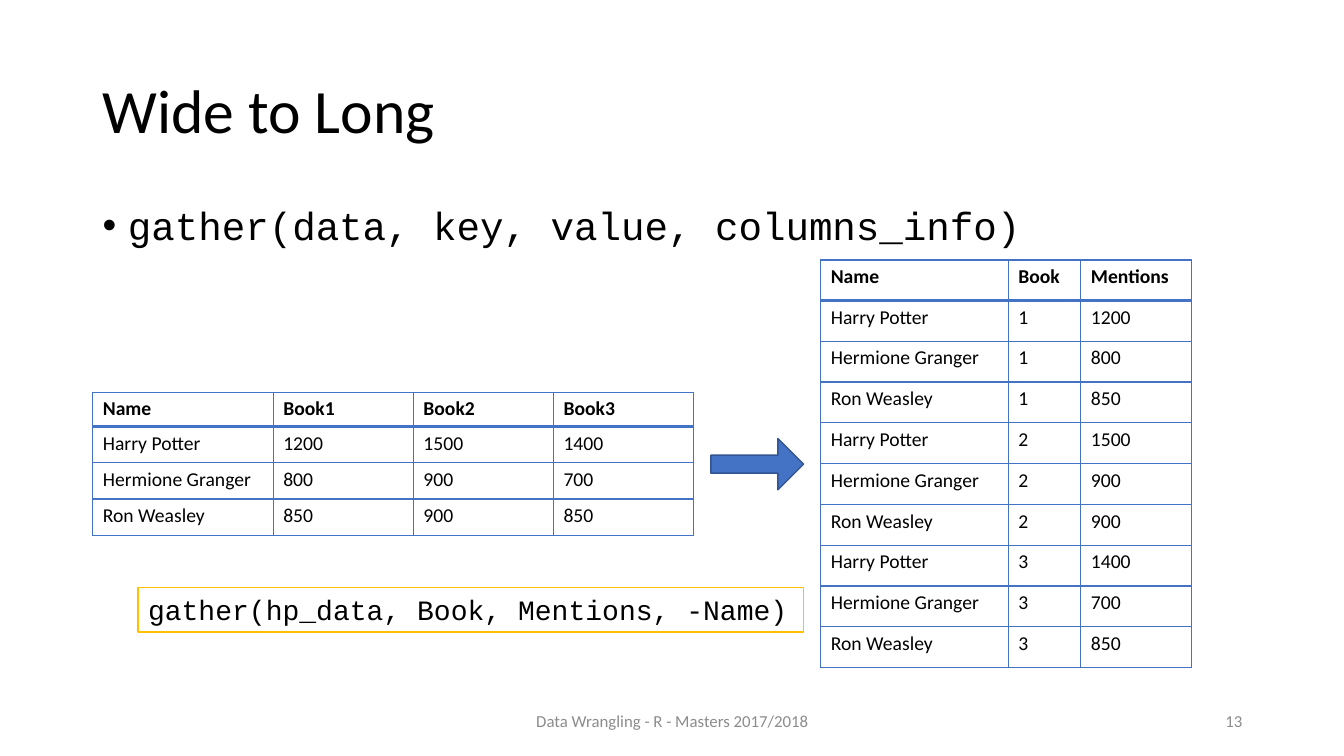
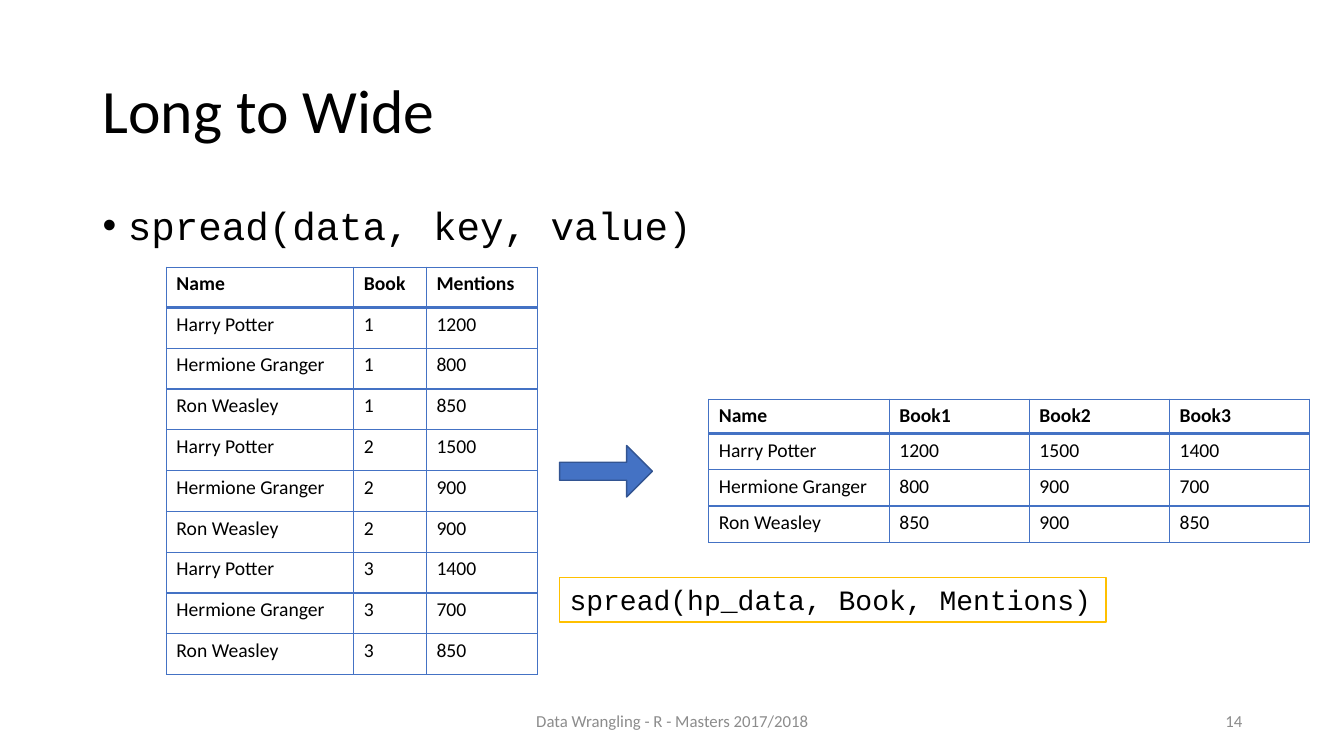
from lxml import etree
from pptx import Presentation
from pptx.dml.color import RGBColor
from pptx.enum.shapes import MSO_SHAPE
from pptx.enum.text import MSO_ANCHOR, MSO_AUTO_SIZE, PP_ALIGN
from pptx.oxml.ns import qn
from pptx.util import Inches, Pt

RECT, ARROW = MSO_SHAPE.RECTANGLE, MSO_SHAPE.RIGHT_ARROW
TOP, MIDDLE = MSO_ANCHOR.TOP, MSO_ANCHOR.MIDDLE
LEFT, CENTER, RIGHT = PP_ALIGN.LEFT, PP_ALIGN.CENTER, PP_ALIGN.RIGHT
GROW = MSO_AUTO_SIZE.SHAPE_TO_FIT_TEXT

COLORS = {k: RGBColor.from_string(v) for k, v in {
    "text": "000000", "foot": "8C8C8C", "paper": "FFFFFF",
    "blue": "4472C4", "edge": "325491", "gold": "FFC000"}.items()}
SANS, MONO = "Calibri", "Courier New"
FOOTER = "Data Wrangling - R - Masters 2017/2018"

# Data: the long table follows from the wide one
WIDE = [["Name", "Book1", "Book2", "Book3"],
        ["Harry Potter", 1200, 1500, 1400],
        ["Hermione Granger", 800, 900, 700],
        ["Ron Weasley", 850, 900, 850]]
LONG = [["Name", "Book", "Mentions"]]
LONG += [[row[0], book, row[book]] for book in (1, 2, 3) for row in WIDE[1:]]

# Column widths and row heights of the two tables
LONG_GRID = [1.86, 0.72, 1.1], [0.4] + [0.405] * 9
WIDE_GRID = [1.79] + [1.39] * 3, [0.34] + [0.36] * 3

# What differs between the slides: positions are (left, top)
PAGES = [
    {"title": "Wide to Long", "usage": "gather(data, key, value, columns_info)",
     "number": 13, "long": (8.14, 2.58), "wide": (0.92, 3.89),
     "call": "gather(hp_data, Book, Mentions, -Name)",
     "code": (1.37, 5.83, 6.6, 0.44), "arrow": (7.05, 4.35)},
    {"title": "Long to Wide", "usage": "spread(data, key, value)",
     "number": 14, "long": (1.65, 2.65), "wide": (7.03, 3.96),
     "call": "spread(hp_data, Book, Mentions)",
     "code": (5.55, 5.73, 5.42, 0.44), "arrow": (5.55, 4.42)},
]


def put_text(frame, text, size, face=SANS, color="text", align=LEFT,
             anchor=MIDDLE, bold=False, bullet=False):
    frame.word_wrap = True
    frame.vertical_anchor = anchor
    para = frame.paragraphs[0]
    para.text = str(text)
    para.alignment = align
    if bullet:
        props = para._p.get_or_add_pPr()
        props.set("marL", str(Inches(0.25)))
        props.set("indent", str(-Inches(0.25)))
        etree.SubElement(props, qn("a:buFont"), typeface="Arial")
        etree.SubElement(props, qn("a:buChar"), char="•")
    font = para.font
    font.name, font.size, font.bold = face, Pt(size), bold
    font.color.rgb = COLORS[color]
    return para


def put_table(slide, rows, place, grid):
    widths, heights = grid
    frame = slide.shapes.add_table(
        len(rows), len(widths), *map(Inches, place),
        Inches(sum(widths)), Inches(sum(heights)))
    table = frame.table
    table.horz_banding = False
    for col, width in zip(table.columns, widths):
        col.width = Inches(width)
    for r, row in enumerate(rows):
        table.rows[r].height = Inches(heights[r])
        for c, value in enumerate(row):
            cell = table.cell(r, c)
            put_text(cell.text_frame, value, 14, anchor=TOP, bold=r == 0)
            props = cell._tc.get_or_add_tcPr()
            for side in "LRTB":
                # The rule below the header is twice as thick
                thick = (r, side) in ((0, "B"), (1, "T"))
                line = etree.SubElement(props, qn("a:ln" + side),
                                        w=str(Pt(2 if thick else 1)))
                fill = etree.SubElement(line, qn("a:solidFill"))
                etree.SubElement(fill, qn("a:srgbClr"), val=str(COLORS["blue"]))
            cell.fill.background()


prs = Presentation()
prs.slide_width, prs.slide_height = Inches(13.33), Inches(7.5)

for page in PAGES:
    slide = prs.slides.add_slide(prs.slide_layouts[6])
    shapes = slide.shapes

    # Title, bullet and footer
    for name, box, style in [
            (page["title"], (0.92, 0.4, 11.5, 1.45), {"size": 44}),
            (page["usage"], (0.92, 2, 11.5, 4.76),
             {"size": 28, "face": MONO, "anchor": TOP, "bullet": True}),
            (FOOTER, (4.42, 6.95, 4.5, 0.4),
             {"size": 12, "color": "foot", "align": CENTER}),
            (page["number"], (9.42, 6.95, 3, 0.4),
             {"size": 12, "color": "foot", "align": RIGHT})]:
        frame = shapes.add_textbox(*map(Inches, box)).text_frame
        para = put_text(frame, name, **style)
        if style["size"] > 12:
            para.line_spacing = 0.9

    # Tables
    put_table(slide, LONG, page["long"], LONG_GRID)
    put_table(slide, WIDE, page["wide"], WIDE_GRID)

    # Code box and arrow
    code = shapes.add_shape(RECT, *map(Inches, page["code"]))
    arrow = shapes.add_shape(ARROW, *map(Inches, page["arrow"]),
                             Inches(0.92), Inches(0.51))
    arrow.adjustments[0] = 0.35
    for shape, fill, line in (code, "paper", "gold"), (arrow, "blue", "edge"):
        shape.shadow.inherit = False
        shape.fill.solid()
        shape.fill.fore_color.rgb = COLORS[fill]
        shape.line.color.rgb = COLORS[line]
        shape.line.width = Pt(1)
    put_text(code.text_frame, page["call"], 20, MONO, anchor=TOP)
    code.text_frame.word_wrap = False
    code.text_frame.auto_size = GROW

prs.save("out.pptx")
